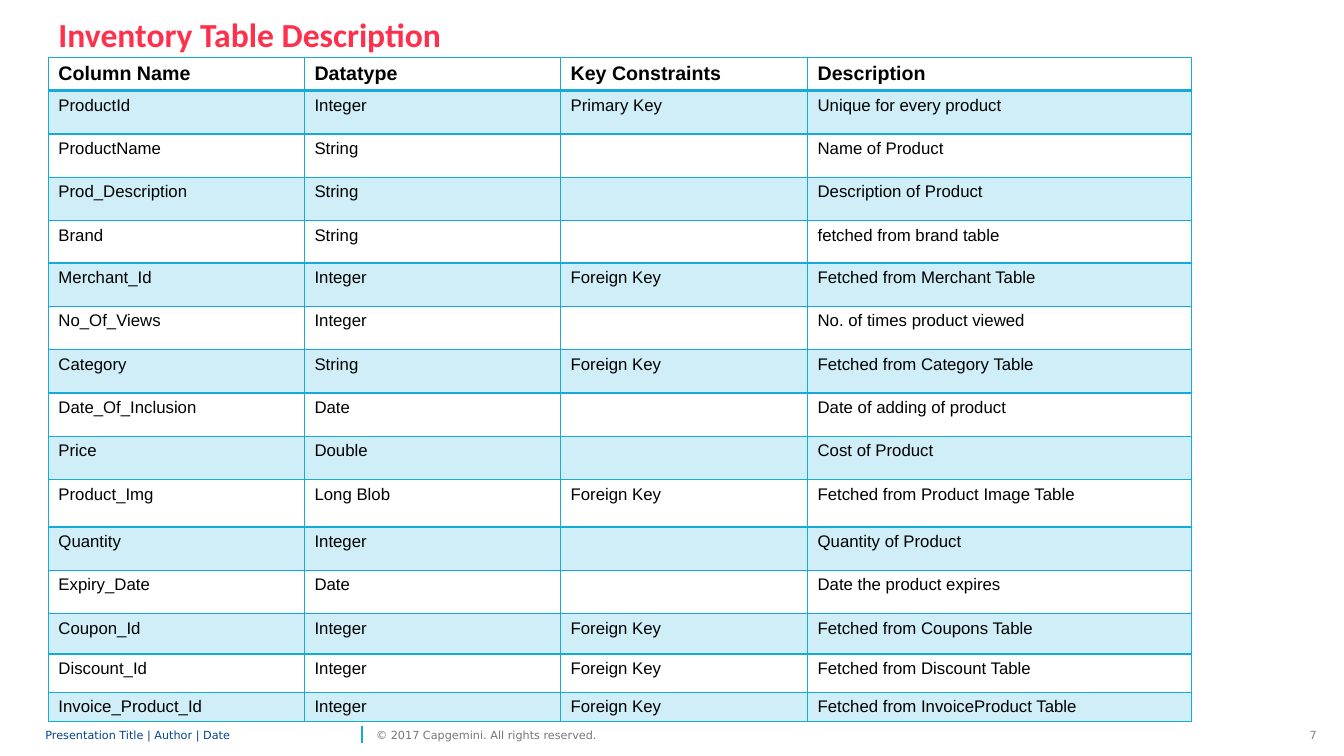
from lxml import etree
from pptx import Presentation
from pptx.dml.color import RGBColor
from pptx.enum.shapes import MSO_CONNECTOR
from pptx.enum.text import MSO_ANCHOR, PP_ALIGN
from pptx.oxml.ns import qn
from pptx.util import Inches, Pt

STRAIGHT = MSO_CONNECTOR.STRAIGHT
TOP, MIDDLE = MSO_ANCHOR.TOP, MSO_ANCHOR.MIDDLE
LEFT, RIGHT = PP_ALIGN.LEFT, PP_ALIGN.RIGHT
TITLE_ONLY = 5

CYAN = "12ABDB"
SHADE_OPACITY = 20
FOOTER_FONT = "DejaVu Sans"

COLUMN_WIDTHS = [2.54, 2.54, 2.45, 3.81]
ROW_HEIGHT = 0.43
SPECIAL_HEIGHTS = {0: 0.33, 4: 0.42, 10: 0.47, 13: 0.4, 14: 0.38, 15: 0.29}

INVENTORY = [
    ("Column Name", "Datatype", "Key Constraints", "Description"),
    ("ProductId", "Integer", "Primary Key", "Unique for every product"),
    ("ProductName", "String", "", "Name of Product"),
    ("Prod_Description", "String", "", "Description of Product"),
    ("Brand", "String", "", "fetched from brand table"),
    ("Merchant_Id", "Integer", "Foreign Key", "Fetched from Merchant Table"),
    ("No_Of_Views", "Integer", "", "No. of times product viewed"),
    ("Category", "String", "Foreign Key", "Fetched from Category Table"),
    ("Date_Of_Inclusion", "Date", "", "Date of adding of product"),
    ("Price", "Double", "", "Cost of Product"),
    ("Product_Img", "Long Blob", "Foreign Key", "Fetched from Product Image Table"),
    ("Quantity", "Integer", "", "Quantity of Product"),
    ("Expiry_Date", "Date", "", "Date the product expires"),
    ("Coupon_Id", "Integer", "Foreign Key", "Fetched from Coupons Table"),
    ("Discount_Id", "Integer", "Foreign Key", "Fetched from Discount Table"),
    ("Invoice_Product_Id", "Integer", "Foreign Key", "Fetched from InvoiceProduct Table"),
]


def colour(value):
    return RGBColor.from_string(value)


def style_paragraph(para, font_name, size, text_colour, bold=False, align=LEFT):
    para.alignment = align
    para.font.name = font_name
    para.font.size = Pt(size)
    para.font.bold = bold
    para.font.color.rgb = colour(text_colour)


def add_title(page, text):
    title = page.shapes.title
    title.left, title.top = Inches(0.48), Inches(0.09)
    title.width, title.height = Inches(7.21), Inches(0.5)
    title.text_frame.text = text
    title.text_frame.vertical_anchor = TOP
    style_paragraph(title.text_frame.paragraphs[0], "Calibri", 24, "FF304C", bold=True)


def add_footer_text(page, text, left, width, text_colour, wrap=False):
    box = page.shapes.add_textbox(Inches(left), Inches(7.17), Inches(width), Inches(0.24))
    frame = box.text_frame
    frame.word_wrap = wrap
    frame.vertical_anchor = MIDDLE
    frame.margin_left = frame.margin_right = 0
    frame.margin_top = frame.margin_bottom = 0
    frame.text = text
    para = frame.paragraphs[0]
    style_paragraph(para, FOOTER_FONT, 8, text_colour)
    return para


def add_footer_divider(page):
    line = page.shapes.add_connector(
        STRAIGHT, Inches(3.59), Inches(7.37), Inches(3.59), Inches(7.2))
    line.line.color.rgb = colour(CYAN)
    line.line.width = Pt(1)
    etree.SubElement(line._element.spPr, qn("a:effectLst"))


def set_border(cell, side, width):
    border = etree.SubElement(
        cell._tc.get_or_add_tcPr(), qn(f"a:ln{side}"), w=str(Pt(width)))
    fill = etree.SubElement(border, qn("a:solidFill"))
    etree.SubElement(fill, qn("a:srgbClr"), val=CYAN)


def shade(cell):
    cell.fill.solid()
    cell.fill.fore_color.rgb = colour(CYAN)
    tint = cell._tc.tcPr.find(qn("a:solidFill")).find(qn("a:srgbClr"))
    etree.SubElement(tint, qn("a:alpha"), val=str(SHADE_OPACITY * 1000))


def fill_cell(cell, text, row_index):
    is_header = row_index == 0
    cell.text = text
    style_paragraph(cell.text_frame.paragraphs[0], "Arial",
                    14 if is_header else 12, "000000", bold=is_header)
    # The rule under the header is twice as thick as the others
    top_width = 2 if row_index == 1 else 1
    bottom_width = 2 if is_header else 1
    for side, width in zip("LRTB", (1, 1, top_width, bottom_width)):
        set_border(cell, side, width)
    if row_index % 2:
        shade(cell)
    else:
        cell.fill.background()


def add_inventory_table(page):
    frame = page.shapes.add_table(
        len(INVENTORY), len(COLUMN_WIDTHS),
        Inches(0.48), Inches(0.57), Inches(11.35), Inches(6.55))
    table = frame.table
    for column, width in zip(table.columns, COLUMN_WIDTHS):
        column.width = Inches(width)
    for row_index, texts in enumerate(INVENTORY):
        row = table.rows[row_index]
        row.height = Inches(SPECIAL_HEIGHTS.get(row_index, ROW_HEIGHT))
        for cell, text in zip(row.cells, texts):
            fill_cell(cell, text, row_index)


def main():
    deck = Presentation()
    deck.slide_width, deck.slide_height = Inches(13.33), Inches(7.5)
    page = deck.slides.add_slide(deck.slide_layouts[TITLE_ONLY])

    # Title and table
    add_title(page, "Inventory Table Description")
    add_inventory_table(page)

    # Footer
    add_footer_text(page, "Presentation Title | Author | Date", 0.45, 3.09, "00458D", wrap=True)
    add_footer_divider(page)
    add_footer_text(page, "© 2017 Capgemini. All rights reserved.", 3.73, 2.43, "767676")
    page_number = add_footer_text(page, "7", 12.89, 0.17, "808080", wrap=True)
    page_number.alignment = RIGHT

    deck.save("out.pptx")


if __name__ == "__main__":
    main()
